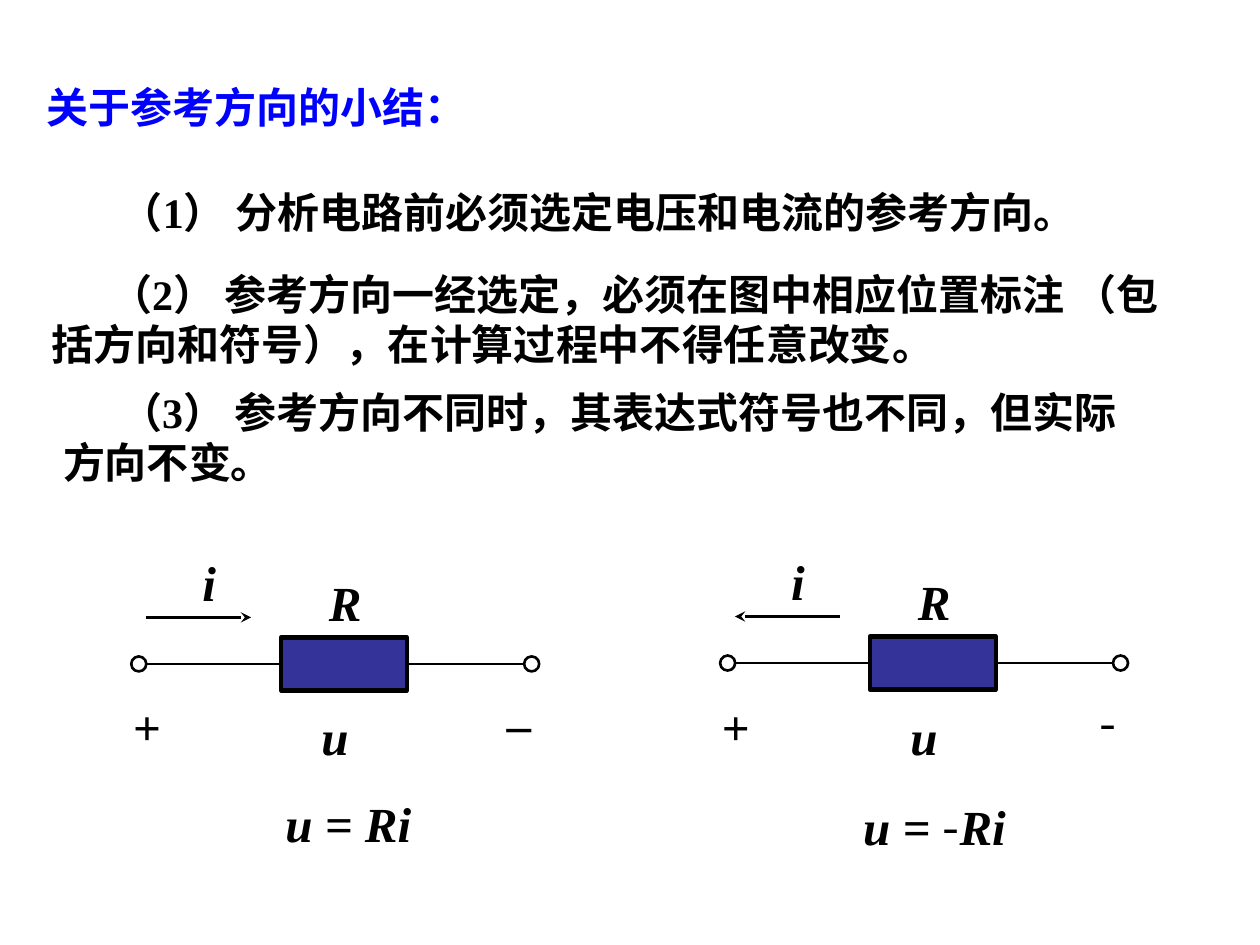
import pptx
import pptx.util
import pptx.dml.color
import pptx.enum.shapes
import pptx.enum.text
import pptx.oxml.ns
import lxml.etree

Pt = pptx.util.Pt
SERIF = "Times New Roman"
SANS = "Noto Sans CJK SC"
BLACK = "000000"
HEADING_BLUE = "0000FF"
RESISTOR_BLUE = "333399"
WHITE = "FFFFFF"
SHAPES = pptx.enum.shapes.MSO_SHAPE
ALIGN = pptx.enum.text.PP_ALIGN
ANCHOR = pptx.enum.text.MSO_ANCHOR


def color(hex_value):
    return pptx.dml.color.RGBColor.from_string(hex_value)


def add_element(parent, tag, **attributes):
    return lxml.etree.SubElement(parent, pptx.oxml.ns.qn(tag), attributes)


def place(part, left, top, width, height):
    part.left, part.top, part.width, part.height = map(Pt, (left, top, width, height))


def style_run(run, size, hex_value=BLACK, face=SERIF, bold=True, italic=False):
    font = run.font
    font.size, font.bold, font.italic = Pt(size), bold, italic
    font.color.rgb = color(hex_value)
    font.name = face
    add_element(run._r.get_or_add_rPr(), "a:ea", typeface=SANS)


def write_heading(title, left, top, width, height):
    place(title, left, top, width, height)
    frame = title.text_frame
    frame.text = "关于参考方向的小结："
    frame.vertical_anchor = ANCHOR.MIDDLE
    frame.auto_size = pptx.enum.text.MSO_AUTO_SIZE.NONE
    frame.paragraphs[0].alignment = ALIGN.LEFT
    style_run(frame.paragraphs[0].runs[0], 24, HEADING_BLUE)


def write_rules(body, left, top, width, height):
    rules = [
        ("（1） 分析电路前必须选定电压和电流的参考方向。", 0, 39.4, 0, 0),
        ("（2） 参考方向一经选定，必须在图中相应位置标注 （包括方向和符号），在计算过程中不得任意改变。",
         0, 33.2, 0, 18),
        ("（3） 参考方向不同时，其表达式符号也不同，但实际方向不变。", 6.3, 32.6, 22, 10),
    ]
    place(body, left, top, width, height)
    frame = body.text_frame
    frame.vertical_anchor = ANCHOR.TOP
    frame.auto_size = pptx.enum.text.MSO_AUTO_SIZE.NONE
    frame.text = "\n".join(rule[0] for rule in rules)
    for paragraph, (_, margin, indent, right_margin, gap) in zip(frame.paragraphs, rules):
        paragraph.space_before = Pt(gap)
        properties = paragraph._p.get_or_add_pPr()
        properties.set("marL", str(Pt(margin)))
        properties.set("indent", str(Pt(indent)))
        properties.set("marR", str(Pt(right_margin)))
        add_element(properties, "a:buNone")
        style_run(paragraph.runs[0], 24)


def add_label(shapes, pieces, left, top, width, height=41):
    frame = shapes.add_textbox(*map(Pt, (left, top, width, height))).text_frame
    frame.word_wrap = True
    frame.vertical_anchor = ANCHOR.MIDDLE
    paragraph = frame.paragraphs[0]
    paragraph.alignment = ALIGN.CENTER
    for piece in pieces:
        run = paragraph.add_run()
        run.text = piece
        if piece == "-":
            style_run(run, 28, face=SANS, bold=False)
        else:
            style_run(run, 28, italic=piece not in "+–")


def add_wire(shapes, start, end, y, arrow=False):
    wire = shapes.add_connector(pptx.enum.shapes.MSO_CONNECTOR.STRAIGHT,
                                Pt(start), Pt(y), Pt(end), Pt(y))
    wire.line.color.rgb = color(BLACK)
    wire.line.width = Pt(1.5)
    if arrow:
        add_element(wire.line._get_or_add_ln(), "a:tailEnd", type="stealth")
    add_element(wire._element.spPr, "a:effectLst")


def add_part(shapes, kind, left, top, width, height, fill, line_width):
    part = shapes.add_shape(kind, *map(Pt, (left, top, width, height)))
    part.shadow.inherit = False
    part.fill.solid()
    part.fill.fore_color.rgb = color(fill)
    part.line.color.rgb = color(BLACK)
    part.line.width = Pt(line_width)


def draw_circuit(slide, left, top, current_ends, minus):
    shapes = slide.shapes.add_group_shape().shapes
    add_part(shapes, SHAPES.RECTANGLE, left + 100.6, top + 53.3, 72, 30.2, RESISTOR_BLUE, 2.5)
    for start, end in ((23.5, 100.6), (172.6, 240)):
        add_wire(shapes, left + start, left + end, top + 68.4)
    for terminal in (15, 239.5):
        add_part(shapes, SHAPES.OVAL, left + terminal, top + 64.1, 8.6, 8.6, WHITE, 1.5)
    start, end = current_ends
    add_wire(shapes, left + start, left + end, top + 41.8, arrow=True)
    for symbol, x, y, width in (("+", 0, 83.6, 48), (minus, 203.5, 81.4, 66),
                                ("R", 101.3, 12.3, 72), ("i", 23.5, 0.8, 72),
                                ("u", 95.5, 89.3, 72)):
        add_label(shapes, [symbol], left + x, top + y, width)


def main():
    presentation = pptx.Presentation()
    presentation.slide_width, presentation.slide_height = Pt(720), Pt(540)
    slide = presentation.slides.add_slide(presentation.slide_layouts[1])
    write_heading(slide.shapes.title, 19.4, 43.2, 258, 36)
    write_rules(slide.placeholders[1], 22.5, 102.8, 660, 181)
    draw_circuit(slide, 60, 311, (23.5, 83.5), "–")
    add_label(slide.shapes, ["u = Ri"], 139, 450, 120)
    draw_circuit(slide, 396.5, 310.5, (83.5, 23.5), "-")
    add_label(slide.shapes, ["u = ", "-", "Ri"], 465, 451.5, 138)
    presentation.save("out.pptx")


if __name__ == "__main__":
    main()
